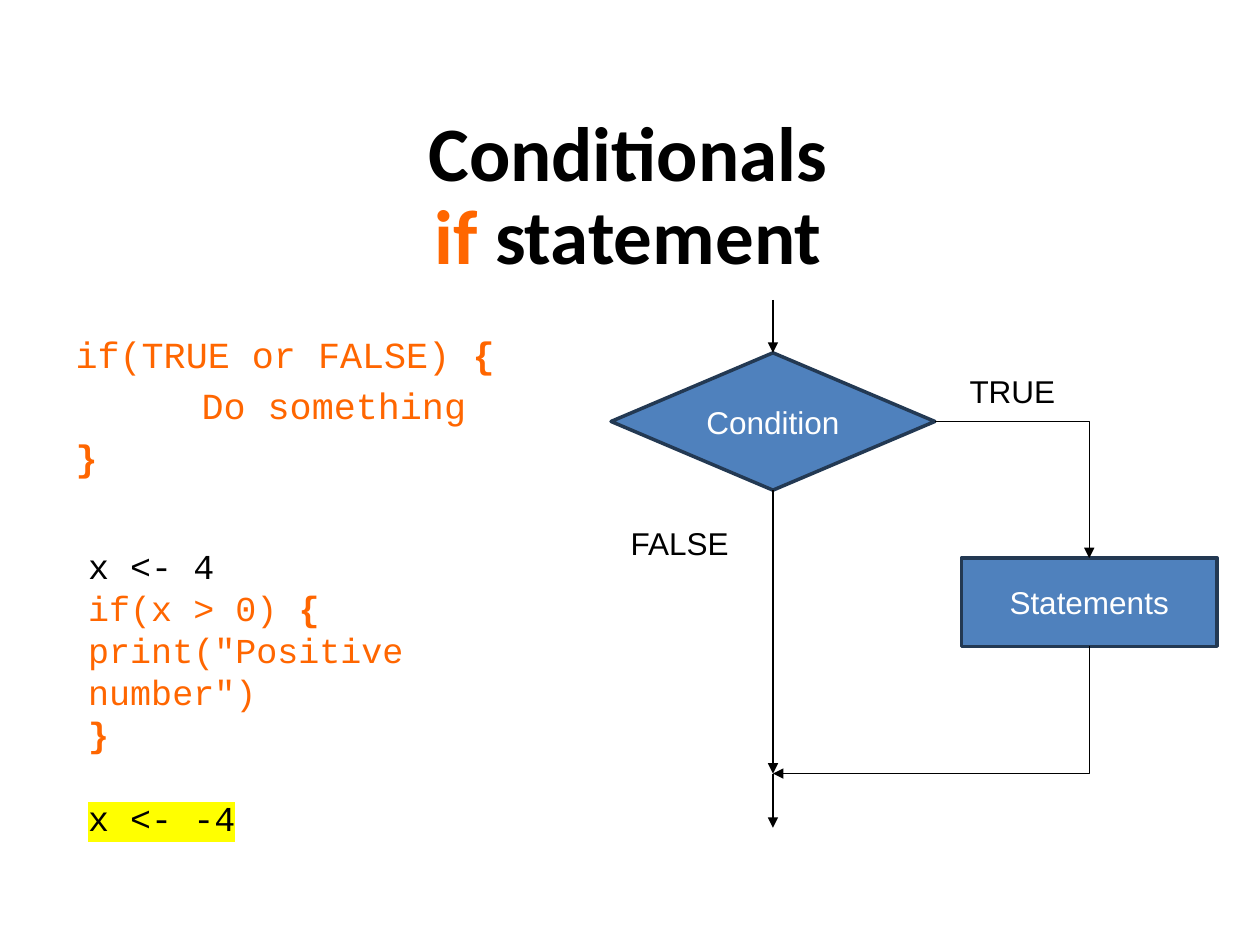
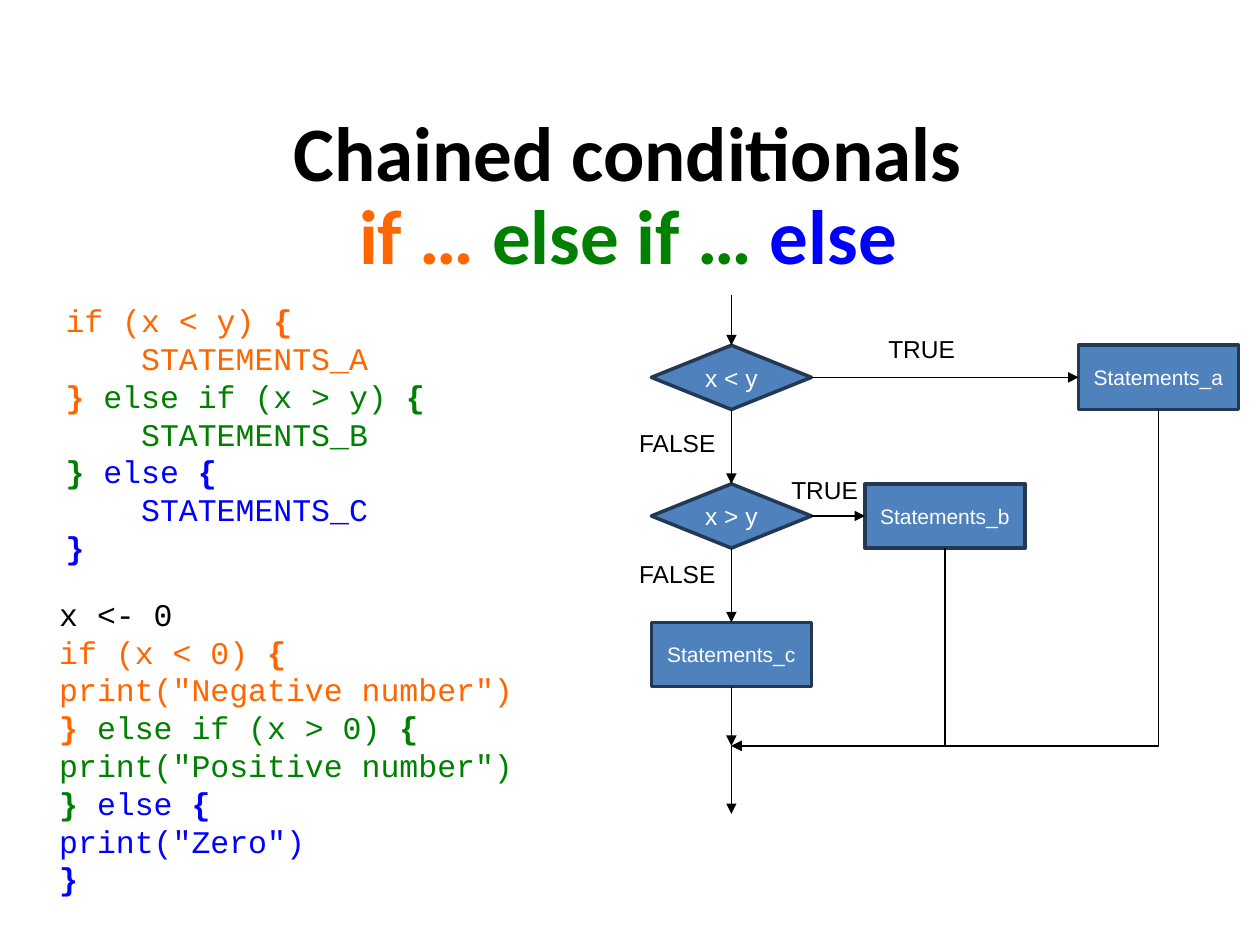
from dataclasses import dataclass
from itertools import groupby

from lxml.etree import SubElement
from pptx import Presentation
from pptx.dml.color import RGBColor
from pptx.enum.shapes import MSO_CONNECTOR, MSO_SHAPE
from pptx.enum.text import MSO_ANCHOR, MSO_AUTO_SIZE, PP_ALIGN
from pptx.oxml.ns import qn
from pptx.util import Inches, Pt


@dataclass(frozen=True)
class Theme:
    black: str = "000000"
    white: str = "FFFFFF"
    if_color: str = "FF6600"
    elif_color: str = "008000"
    else_color: str = "0000FF"
    marker: str = "FFFF00"
    node_fill: str = "4F81BD"
    node_line: str = "233953"
    title_font: str = "Calibri"
    code_font: str = "Courier New"
    label_font: str = "Arial"
    title_size: float = 44
    syntax_size: float = 21
    example_size: float = 20
    chain_size: float = 18
    flow_size: float = 18
    small_flow_size: float = 14
    small_box_size: float = 12
    node_width: float = 2
    arrow_width: float = 0.75


T = Theme()
TOP, LEFT, BOTTOM, RIGHT = range(4)


def add_run(p, text, *, font, size, color, bold=False, highlight=None):
    r = p.add_run()
    r.text = text
    r.font.name, r.font.size, r.font.bold = font, Pt(size), bold
    r.font.color.rgb = RGBColor.from_string(color)
    if highlight:
        rPr = r._r.get_or_add_rPr()
        mark = SubElement(rPr, qn("a:highlight"))
        SubElement(mark, qn("a:srgbClr"), val=highlight)
        rPr.find(qn("a:latin")).addprevious(mark)
    return r


def site(sp, side):
    """Point at the middle of one side of a shape."""
    x = {LEFT: sp.left, RIGHT: sp.left + sp.width}.get(side, sp.left + sp.width // 2)
    y = {TOP: sp.top, BOTTOM: sp.top + sp.height}.get(side, sp.top + sp.height // 2)
    return x, y


class Deck:
    def __init__(self, theme):
        self.t = theme
        self.prs = Presentation()
        self.prs.slide_width, self.prs.slide_height = Inches(10), Inches(7.5)

    def new_slide(self):
        self.s = self.prs.slides.add_slide(self.prs.slide_layouts.get_by_name("Two Content"))

    @staticmethod
    def place(sp, x, y, w, h):
        sp.left, sp.top, sp.width, sp.height = (Inches(v) for v in (x, y, w, h))

    def title(self, first, *second):
        """Two-line title; the second line is (text, colour) pairs."""
        sp = self.s.shapes.title
        self.place(sp, 2.21, 0.27, 5.55, 2.01)
        tf = sp.text_frame
        tf.auto_size, tf.vertical_anchor = MSO_AUTO_SIZE.NONE, MSO_ANCHOR.BOTTOM
        p = tf.paragraphs[0]
        p.alignment, p.line_spacing = PP_ALIGN.CENTER, 0.9
        style = dict(font=self.t.title_font, size=self.t.title_size, bold=True)
        add_run(p, first, color=self.t.black, **style)
        p.add_line_break()
        for text, color in second:
            add_run(p, text, color=color, **style)

    def code(self, index, box, lines, size, gap=0.0, indent=0.0, last_gap=None, last_mark=None):
        """Lines are lists of (text, colour); a leading tab asks for the indent."""
        sp = self.s.placeholders[index]
        self.place(sp, *box)
        tf = sp.text_frame
        tf.auto_size, tf.word_wrap = MSO_AUTO_SIZE.NONE, True
        for i, line in enumerate(lines):
            p = tf.paragraphs[0] if i == 0 else tf.add_paragraph()
            is_last = i == len(lines) - 1
            p.space_before = Pt(last_gap if is_last and last_gap else gap)
            pPr = p._p.get_or_add_pPr()
            pPr.set("marL", str(Inches(indent if line[0][0].startswith("\t") else 0)))
            pPr.set("indent", "0")
            SubElement(pPr, qn("a:buNone"))
            for text, color in line:
                for brace, chars in groupby(text.lstrip("\t"), lambda c: c in "{}"):
                    add_run(p, "".join(chars), font=self.t.code_font, size=size, color=color,
                            bold=brace, highlight=last_mark if is_last else None)

    def node(self, kind, text, box, size):
        sp = self.s.shapes.add_shape(kind, *(Inches(v) for v in box))
        sp.shadow.inherit = False
        sp.fill.solid()
        sp.fill.fore_color.rgb = RGBColor.from_string(self.t.node_fill)
        sp.line.color.rgb = RGBColor.from_string(self.t.node_line)
        sp.line.width = Pt(self.t.node_width)
        self.caption(sp, text, size, self.t.white)
        sp.text_frame.vertical_anchor = MSO_ANCHOR.MIDDLE
        return sp

    def label(self, text, box, size):
        sp = self.s.shapes.add_textbox(*(Inches(v) for v in box))
        self.caption(sp, text, size, self.t.black)

    def caption(self, sp, text, size, color):
        tf = sp.text_frame
        tf.word_wrap = True
        p = tf.paragraphs[0]
        p.alignment = PP_ALIGN.CENTER
        add_run(p, text, font=self.t.label_font, size=size, color=color)

    def arrow(self, start, end, bent=False):
        """Each end is a point or a (shape, side) pair, which gets joined."""
        ends = [e if isinstance(e[0], int) else site(*e) for e in (start, end)]
        (x1, y1), (x2, y2) = ends
        kind = MSO_CONNECTOR.ELBOW if bent else MSO_CONNECTOR.STRAIGHT
        c = self.s.shapes.add_connector(kind, x1, y1, x2, y2)
        if not isinstance(start[0], int):
            c.begin_connect(*start)
        if not isinstance(end[0], int):
            c.end_connect(*end)
        c.line.color.rgb = RGBColor.from_string(self.t.black)
        c.line.width = Pt(self.t.arrow_width)
        spPr = c._element.spPr
        SubElement(spPr.find(qn("a:ln")), qn("a:tailEnd"), type="triangle")
        SubElement(spPr, qn("a:effectLst"))
        if bent:
            spPr.find(qn("a:prstGeom")).set("prst", "bentConnector2")
            if x2 < x1:  # down, then left: a quarter turn of right, then down
                xfrm = spPr.find(qn("a:xfrm"))
                xfrm.attrib.pop("flipH", None)
                xfrm.set("rot", "5400000")
                w, h = y2 - y1, x1 - x2
                c.left, c.top = (x1 + x2 - w) // 2, (y1 + y2 - h) // 2
                c.width, c.height = w, h


def else_if_chain(tests, bodies):
    """Code lines of an if, else if, else ladder."""
    a, b, c = T.if_color, T.elif_color, T.else_color
    return [
        [(f"if ({tests[0]}) {{", a)], [(bodies[0], a)],
        [("} ", a), (f"else if ({tests[1]}) {{", b)], [(bodies[1], b)],
        [("} ", b), ("else {", c)], [(bodies[2], c)],
        [("}", c)],
    ]


def if_slide(d):
    d.new_slide()
    d.title("Conditionals", ("if ", T.if_color), ("statement", T.black))

    # Syntax and example
    syntax = ["if(TRUE or FALSE) {", "\tDo something", "}"]
    d.code(1, (0.5, 2.58, 3.72, 1.53), [[(line, T.if_color)] for line in syntax],
           T.syntax_size, gap=4.2, indent=1)
    example = ["if(x > 0) {", 'print("Positive number")', "}"]
    d.code(2, (0.6, 4.27, 3, 2.43),
           [[("x <- 4", T.black)], *([(line, T.if_color)] for line in example),
            [("x <- -4", T.black)]],
           T.example_size, last_gap=24, last_mark=T.marker)

    # Flowchart
    condition = d.node(MSO_SHAPE.FLOWCHART_DECISION, "Condition", (4.85, 2.8, 2.57, 1.09),
                       T.flow_size)
    statements = d.node(MSO_SHAPE.FLOWCHART_PROCESS, "Statements", (7.63, 4.43, 2.03, 0.7),
                        T.flow_size)
    axis = site(condition, TOP)[0]
    merge = (axis, Inches(6.14))
    d.arrow((axis, Inches(2.38)), (condition, TOP))
    d.arrow((condition, RIGHT), (statements, TOP), bent=True)
    d.arrow((condition, BOTTOM), merge)
    d.arrow(merge, (axis, Inches(6.57)))
    d.arrow((statements, BOTTOM), merge, bent=True)
    d.label("TRUE", (7.53, 2.9, 1.01, 0.4), T.flow_size)
    d.label("FALSE", (4.85, 4.11, 1.09, 0.4), T.flow_size)


def chain_slide(d):
    d.new_slide()
    d.title("Chained conditionals", ("if … ", T.if_color), ("else if … ", T.elif_color),
            ("else", T.else_color))

    # Syntax and example
    d.code(1, (0.42, 2.34, 3.13, 2.2),
           else_if_chain(("x < y", "x > y"), [f"\tSTATEMENTS_{k}" for k in "ABC"]),
           T.chain_size, indent=0.6)
    prints = [f'print("{word}")' for word in ("Negative number", "Positive number", "Zero")]
    d.code(2, (0.37, 4.67, 5, 2.5),
           [[("x <- 0", T.black)], *else_if_chain(("x < 0", "x > 0"), prints)], T.chain_size)

    # Flowchart nodes on a grid
    def cell(col, row):
        return 5.17 + 1.695 * col, 2.74 + 1.1 * row, 1.27, 0.51

    less, more = (d.node(MSO_SHAPE.FLOWCHART_DECISION, text, cell(0, row), T.small_flow_size)
                  for row, text in enumerate(("x < y", "x > y")))
    box_c, box_b, box_a = (
        d.node(MSO_SHAPE.FLOWCHART_PROCESS, f"Statements_{k}", cell(col, 2 - col),
               T.small_box_size)
        for col, k in enumerate("cba"))

    # Arrows
    axis = site(less, TOP)[0]
    merge = (axis, Inches(5.92))
    d.arrow((axis, Inches(2.34)), (less, TOP))
    for test, box in ((less, box_a), (more, box_b)):
        d.arrow((test, RIGHT), (box, LEFT))
    for upper, lower in ((less, more), (more, box_c)):
        d.arrow((upper, BOTTOM), (lower, TOP))
    d.arrow((box_c, BOTTOM), merge)
    d.arrow(merge, (axis, Inches(6.46)))
    for box in (box_a, box_b):
        d.arrow((box, BOTTOM), merge, bent=True)

    # Branch labels
    for text, x, y in (("TRUE", 6.86, 2.6), ("TRUE", 6.09, 3.72),
                       ("FALSE", 4.92, 3.35), ("FALSE", 4.92, 4.39)):
        d.label(text, (x, y, 0.91, 0.34), T.small_flow_size)


def main():
    d = Deck(T)
    if_slide(d)
    chain_slide(d)
    d.prs.save("out.pptx")


if __name__ == "__main__":
    main()
